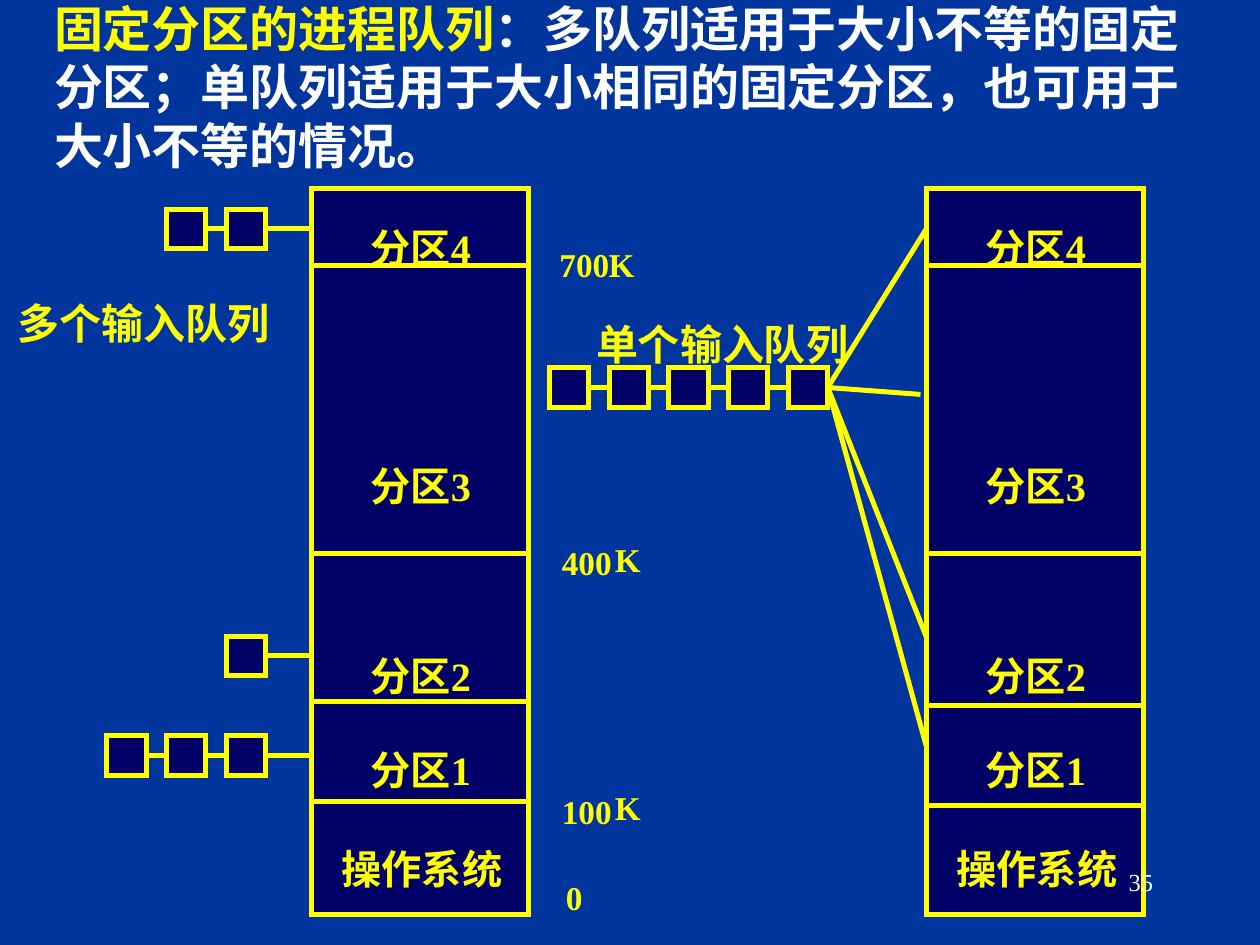
from lxml import etree
from pptx import Presentation
from pptx.dml.color import RGBColor
from pptx.enum.shapes import MSO_CONNECTOR, MSO_SHAPE
from pptx.enum.text import MSO_ANCHOR, PP_ALIGN
from pptx.oxml.ns import qn
from pptx.util import Pt

RECT = MSO_SHAPE.RECTANGLE
LINE = MSO_CONNECTOR.STRAIGHT
TOP, MIDDLE = MSO_ANCHOR.TOP, MSO_ANCHOR.MIDDLE
LEFT, RIGHT = PP_ALIGN.LEFT, PP_ALIGN.RIGHT
SERIF, SANS = "Times New Roman", "Noto Sans CJK SC"
BLUE, NAVY, YELLOW, WHITE = "00359E", "000066", "FFFF00", "FFFFFF"
STROKE = 2.86

prs = Presentation()
prs.slide_width, prs.slide_height = Pt(720), Pt(540)
slide = prs.slides.add_slide(prs.slide_layouts[6])
shapes = slide.shapes


def color(code):
    return RGBColor.from_string(code)


def write(text, x, y, w, h, size, bold=True, tint=YELLOW,
          align=LEFT, anchor=MIDDLE, pad=(0, 0), wrap=False, lead=None):
    """Add a text box; text is a string or a list of (string, colour) runs."""
    frame = shapes.add_textbox(Pt(x), Pt(y), Pt(w), Pt(h)).text_frame
    frame.word_wrap = wrap
    frame.vertical_anchor = anchor
    frame.margin_left = frame.margin_right = Pt(pad[0])
    frame.margin_top = frame.margin_bottom = Pt(pad[1])
    para = frame.paragraphs[0]
    para.alignment = align
    if lead:
        para.line_spacing = Pt(lead)
    for part, shade in [(text, tint)] if isinstance(text, str) else text:
        run = para.add_run()
        run.text = part
        font = run.font
        font.size, font.bold, font.name = Pt(size), bold, SERIF
        font.color.rgb = color(shade)
        face = etree.SubElement(run._r.get_or_add_rPr(), qn("a:ea"))
        face.set("typeface", SANS)


def block(x, y, w, h):
    """Add a navy box with a sharp-cornered yellow outline."""
    shape = shapes.add_shape(RECT, Pt(x), Pt(y), Pt(w), Pt(h))
    shape.shadow.inherit = False
    shape.fill.solid()
    shape.fill.fore_color.rgb = color(NAVY)
    shape.line.color.rgb = color(YELLOW)
    shape.line.width = Pt(STROKE)
    edge = shape._element.spPr.find(qn("a:ln"))
    etree.SubElement(edge, qn("a:miter")).set("lim", "800000")
    return shape


slide.background.fill.solid()
slide.background.fill.fore_color.rgb = color(BLUE)

write([("固定分区的进程队列", YELLOW),
       ("：多队列适用于大小不等的固定分区；单队列适用于大小相同的固定分区，"
        "也可用于大小不等的情况。", WHITE)],
      23.8, -4.5, 678, 108, 28, pad=(7.2, 3.6), wrap=True, lead=33.4)

# Lines as (x1, y1, x2, y2, start box, end box)
lines = []

# Queues as (first x, y, box count, line ends)
box, step = 22.5, 34.15
queues = [
    (95.2, 119.5, 2, [(177.8, 130.75)]),
    (129.4, 363.6, 1, [(177.8, 374.85)]),
    (61, 420.5, 3, [(177.8, 431.75)]),
    (313.9, 210.2, 5, [(529.2, 131), (526, 225.4), (529.2, 363.6), (529.2, 426)]),
]
for left, y, count, ends in queues:
    mid = y + box / 2
    last = None
    for i in range(count):
        x = left + i * step
        cell = block(x, y, box, box)
        if last:
            lines.append((x - step + box, mid, x, mid, last, cell))
        last = cell
    lines += [(x + box, mid, *end, last, None) for end in ends]

# Memory columns as (x, divider heights)
wide = 124.5
for left, cuts in [(177.8, (151.9, 316.1, 401, 457.9)),
                   (529.2, (151.9, 316.1, 403.2, 460.1))]:
    block(left, 108, wide, 414.7)
    for name, y in [("分区4", 127.4), ("分区3", 263.5), ("分区2", 372.2), ("分区1", 426.2)]:
        write(name, left + 33.8, y, 80, 27.4, 23)
    write("操作系统", left + 17.3, 482.4, 105, 27.4, 23)
    lines += [(left, y, left + wide, y, None, None) for y in cuts]

for x1, y1, x2, y2, start, end in lines:
    line = shapes.add_connector(LINE, Pt(x1), Pt(y1), Pt(x2), Pt(y2))
    line.line.color.rgb = color(YELLOW)
    line.line.width = Pt(STROKE)
    etree.SubElement(line._element.spPr, qn("a:effectLst"))
    if start:
        line.begin_connect(start, 3)
    if end:
        line.end_connect(end, 1)

write("多个输入队列", 10.1, 169.9, 155, 28.8, 24)
write("单个输入队列", 340.6, 182.2, 155, 28.8, 24)

for mark, x, y, w in [("700", 319.7, 139.7, 28.5), ("K", 347.8, 139.7, 15),
                      ("400", 321.1, 309.6, 28.5), ("K", 351.4, 308.2, 15),
                      ("100", 321.1, 452.2, 28.5), ("K", 351.4, 450, 15),
                      ("0", 323.3, 501.1, 9.5)]:
    write(mark, x, y, w, 23, 19)

write("35", 516.2, 491.8, 149.8, 36, 14, bold=False, tint=WHITE,
      align=RIGHT, anchor=TOP, pad=(7.2, 3.6), wrap=True)

prs.save("out.pptx")
